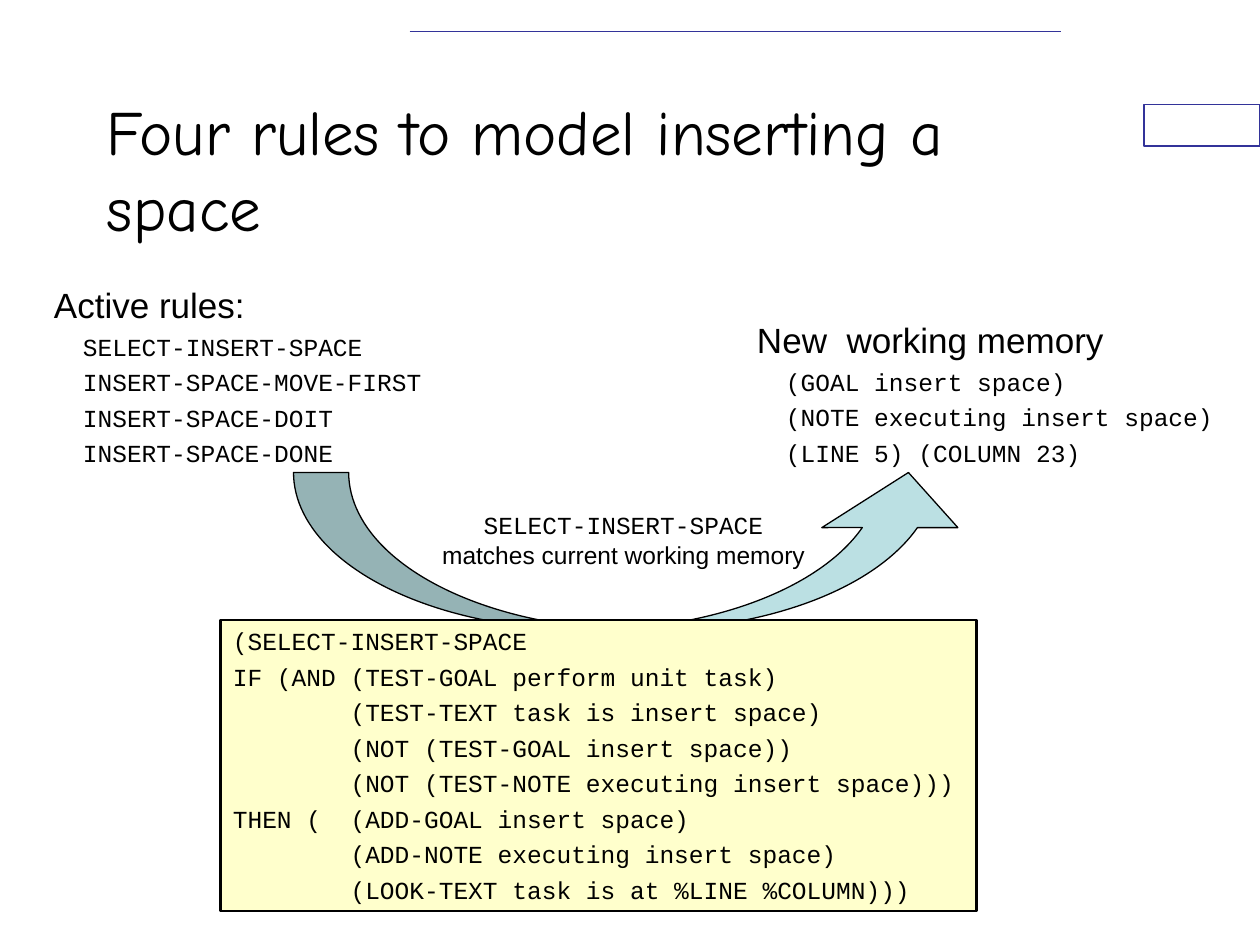
from lxml.etree import SubElement
from pptx import Presentation
from pptx.dml.color import RGBColor
from pptx.enum.shapes import MSO_CONNECTOR as Conn, MSO_SHAPE as Kind
from pptx.enum.text import MSO_ANCHOR as Anchor, PP_ALIGN as Align
from pptx.oxml.ns import qn
from pptx.util import Inches, Pt

BLACK = RGBColor(0, 0, 0)
WHITE = RGBColor(255, 255, 255)
NAVY = RGBColor(0x33, 0x33, 0x99)
TEAL = RGBColor(0xBB, 0xE0, 0xE3)
CREAM = RGBColor(0xFF, 0xFF, 0xCC)

TITLE = {"name": "Comic Neue", "size": Pt(36)}
HEAD = {"name": "Arial", "size": Pt(20)}
NOTE = {"name": "Arial", "size": Pt(14)}
CODE = {"name": "Courier New", "size": Pt(14)}

RULES = ["SELECT-INSERT-SPACE", "INSERT-SPACE-MOVE-FIRST",
         "INSERT-SPACE-DOIT", "INSERT-SPACE-DONE"]
MEMORY = ["(GOAL insert space)", "(NOTE executing insert space)",
          "(LINE 5) (COLUMN 23)"]
SOURCE = """(SELECT-INSERT-SPACE
IF (AND (TEST-GOAL perform unit task)
        (TEST-TEXT task is insert space)
        (NOT (TEST-GOAL insert space))
        (NOT (TEST-NOTE executing insert space)))
THEN (  (ADD-GOAL insert space)
        (ADD-NOTE executing insert space)
        (LOOK-TEXT task is at %LINE %COLUMN)))""".split("\n")


def inch(box):
    return [Inches(v) for v in box]


def write(frame, lines, align=Align.LEFT, gap=0, indent=0):
    for i, (text, form) in enumerate(lines):
        para = frame.paragraphs[0] if i == 0 else frame.add_paragraph()
        para.alignment = align
        if i:
            para.space_before = Pt(gap)
            if indent:
                para._p.get_or_add_pPr().set("marL", str(Inches(indent)))
        run = para.add_run()
        run.text = text
        run.font.color.rgb = BLACK
        for key, value in form.items():
            setattr(run.font, key, value)


def label(slide, box, lines, wrap=True, anchor=Anchor.TOP, **form):
    frame = slide.shapes.add_textbox(*inch(box)).text_frame
    frame.word_wrap = wrap
    frame.vertical_anchor = anchor
    write(frame, lines, **form)


def block(slide, kind, box, fill, edge, width):
    shape = slide.shapes.add_shape(kind, *inch(box))
    shape.shadow.inherit = False
    shape.fill.solid()
    shape.fill.fore_color.rgb = fill
    shape.line.color.rgb = edge
    shape.line.width = Pt(width)
    return shape


def trim(slide, tab, rule):
    block(slide, Kind.RECTANGLE, tab, WHITE, NAVY, 0.75)
    line = slide.shapes.add_connector(Conn.STRAIGHT, *inch(rule))
    line.line.color.rgb = NAVY
    line.line.width = Pt(1)
    SubElement(line._element.spPr, qn("a:effectLst"))


def group(slide, box, head, items, wrap=True):
    lines = [(head, HEAD)] + [(item, CODE) for item in items]
    label(slide, box, lines, wrap, gap=3.5, indent=0.23)


def arrow(slide, box):
    shape = block(slide, Kind.CURVED_UP_ARROW, box, TEAL, BLACK, 0.75)
    for i, value in enumerate((0.35, 0.864, 0.35)):
        shape.adjustments[i] = value


def code(slide, box):
    frame = block(slide, Kind.RECTANGLE, box, CREAM, BLACK, 1.5).text_frame
    frame.word_wrap = True
    frame.vertical_anchor = Anchor.TOP
    write(frame, [(text, CODE) for text in SOURCE], gap=3.5)


def main():
    deck = Presentation()
    deck.slide_width, deck.slide_height = Inches(10), Inches(7.5)
    slide = deck.slides.add_slide(deck.slide_layouts[6])
    trim(slide, (9.08, 0.83, 0.92, 0.33), (3.25, 0.25, 8.42, 0.25))
    group(slide, (0.33, 2.2, 3.33, 1.56), "Active rules:", RULES)
    label(slide, (0.75, 0.75, 7.33, 1.17),
          [("Four rules to model inserting a space", TITLE)],
          anchor=Anchor.MIDDLE)
    group(slide, (5.91, 2.48, 3.83, 1.28), "New  working memory", MEMORY, False)
    label(slide, (3.41, 4, 3.08, 0.57),
          [(RULES[0], CODE), ("matches current working memory", NOTE)],
          wrap=False, align=Align.CENTER)
    arrow(slide, (2.33, 3.75, 5.42, 1.25))
    code(slide, (1.75, 4.92, 6, 2.31))
    deck.save("out.pptx")


if __name__ == "__main__":
    main()
